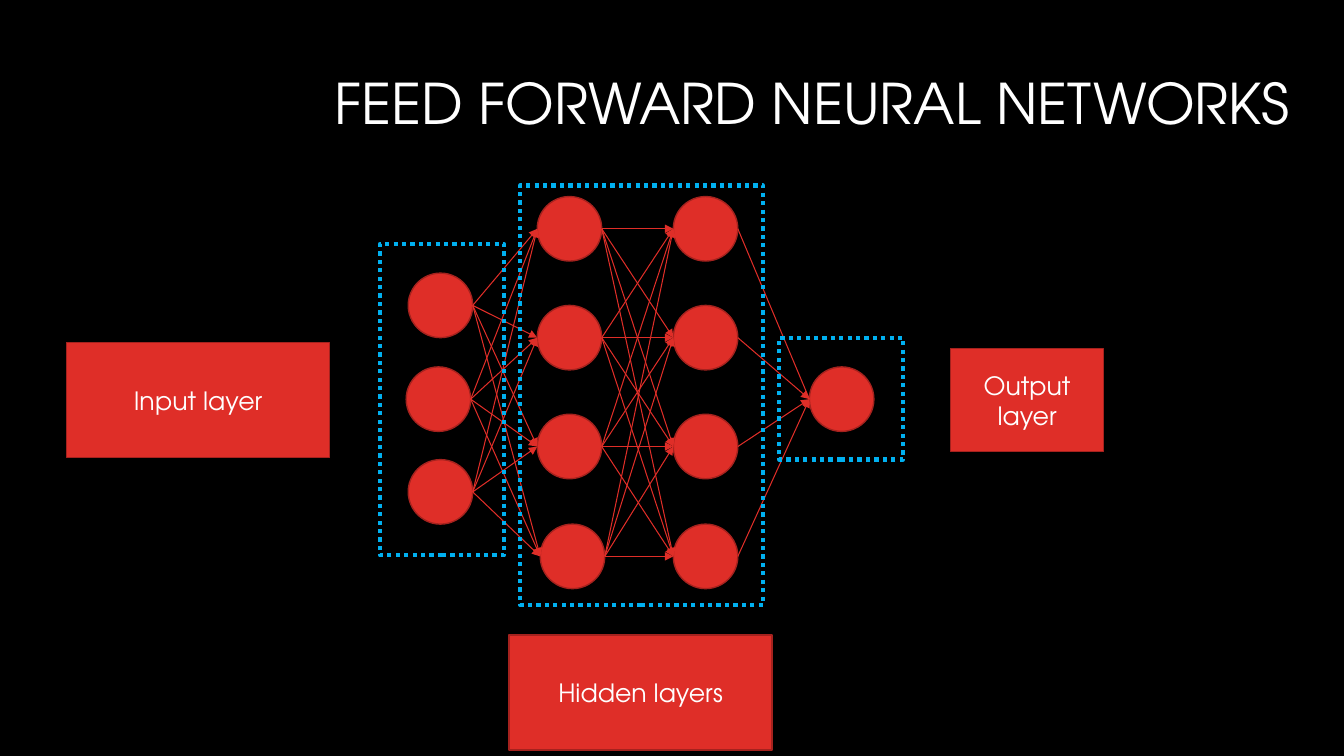
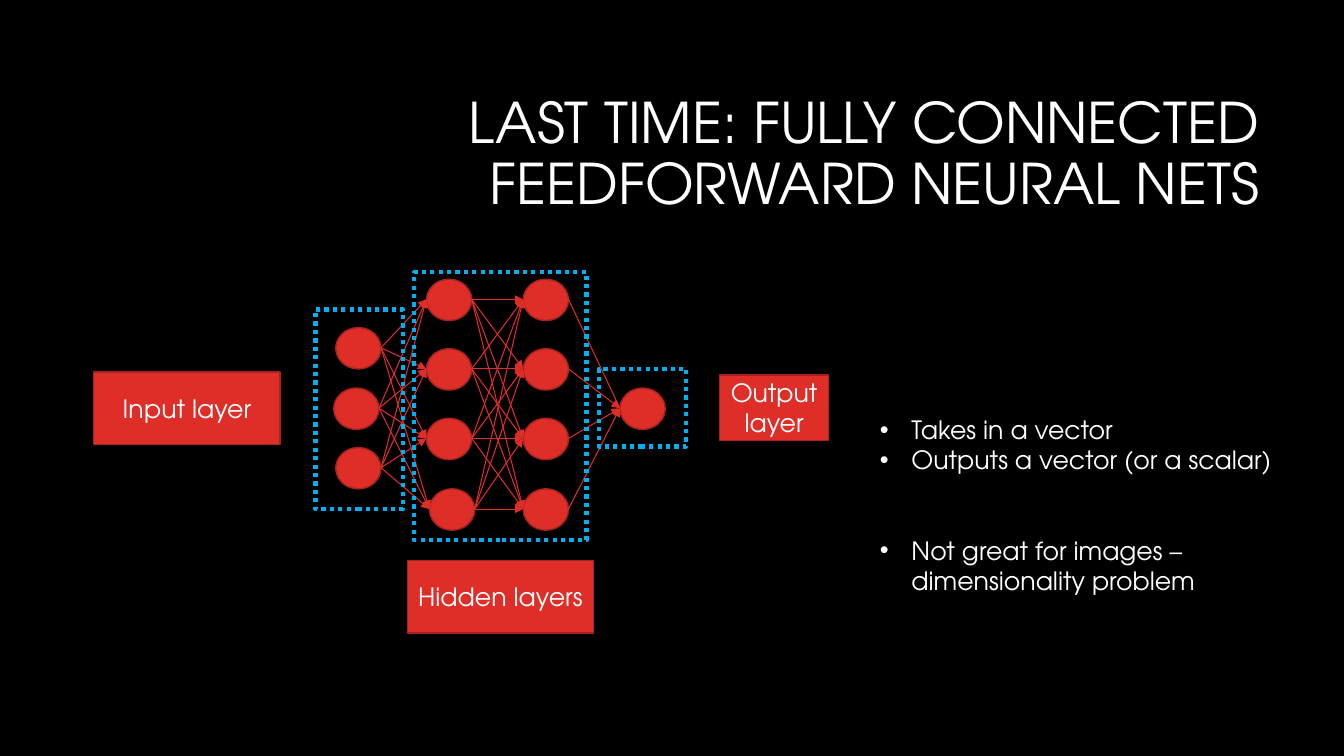
from dataclasses import dataclass
from itertools import pairwise, product

from lxml.etree import SubElement
from pptx import Presentation
from pptx.dml.color import RGBColor
from pptx.enum.dml import MSO_LINE as Dash
from pptx.enum.shapes import MSO_CONNECTOR as Link, MSO_SHAPE as Kind
from pptx.enum.text import MSO_ANCHOR as Anchor, MSO_AUTO_SIZE as Fit, PP_ALIGN as Align
from pptx.oxml.ns import qn
from pptx.util import Emu, Pt

# Shared look
FONT = "TeX Gyre Adventor"
BLACK, WHITE, RED, DARK, BLUE = "000000", "FFFFFF", "DF2E28", "A5221E", "00B0F0"
SCALE = 9144  # EMU in one px, 100 px to the inch
NODE = 64


@dataclass(frozen=True)
class Box:
    x: int
    y: int
    w: int
    h: int


@dataclass(frozen=True)
class View:
    """Maps the network onto a slide: factors, then shift in px."""
    sx: float = 1
    sy: float = 1
    dx: int = 0
    dy: int = 0

    def fit(self, box: Box) -> Box:
        return Box(round(box.x * self.sx + self.dx), round(box.y * self.sy + self.dy),
                   round(box.w * self.sx), round(box.h * self.sy))


@dataclass(frozen=True)
class Page:
    title: str
    head: Box
    view: View
    labels: tuple[Box, ...]
    points: tuple[tuple[str, int], ...] = ()  # text, space before in points
    body: Box | None = None


# Network: left and top of every node, layer by layer
ROWS = (195, 303, 411, 520)
LAYERS = (
    ((405, 271), (403, 364), (405, 456)),
    tuple(zip((533, 533, 533, 536), ROWS)),
    tuple((668, y) for y in ROWS),
    ((803, 364),),
)
FRAMES = (Box(377, 242, 123, 309), Box(516, 184, 241, 416), Box(773, 335, 123, 121))
NAMES = ("Input layer", "Hidden layers", "Output layer")

PAGES = (
    Page("FEED FORWARD NEURAL NETWORKS", Box(286, 35, 1003, 141), View(),
         (Box(66, 340, 261, 114), Box(505, 630, 261, 114), Box(943, 346, 152, 102))),
    Page("LAST TIME: FULLY CONNECTED FEEDFORWARD NEURAL NETS",
         Box(317, 84, 942, 141), View(0.71, 0.64, 45, 152),
         (Box(93, 369, 185, 72), Box(404, 556, 185, 72), Box(714, 372, 108, 65)),
         (("Takes in a vector", 0), ("Outputs a vector (or a scalar)", 0),
          ("Not great for images – dimensionality problem", 43)),
         Box(863, 406, 423, 192)),
)


def px(n: int) -> Emu:
    return Emu(n * SCALE)


def rgb(code: str) -> RGBColor:
    return RGBColor.from_string(code)


def place(shape, box: Box) -> None:
    shape.left, shape.top, shape.width, shape.height = map(px, (box.x, box.y, box.w, box.h))


def write(para, text: str, *, size: int = 18, color: str = WHITE, align=Align.LEFT,
          lead: float = 1, before: int = 0, bullet: str = "") -> None:
    if bullet:
        props = para._p.get_or_add_pPr()
        props.set("marL", "285750")
        props.set("indent", "-285750")
        SubElement(props, qn("a:buFont"), typeface="Arial")
        SubElement(props, qn("a:buChar"), char=bullet)
    para.alignment, para.line_spacing, para.space_before = align, lead, Pt(before)
    run = para.add_run()
    run.text = text
    run.font.name, run.font.size = FONT, Pt(size)
    run.font.color.rgb = rgb(color)


def frame(shape, anchor):
    text = shape.text_frame
    text.word_wrap, text.auto_size, text.vertical_anchor = True, Fit.NONE, anchor
    return text


def draw(shapes, kind, box: Box, *, fill: str = "", line: str = DARK, width: int = 1):
    shape = shapes.add_shape(kind, px(box.x), px(box.y), px(box.w), px(box.h))
    shape.shadow.inherit = False
    if fill:
        shape.fill.solid()
        shape.fill.fore_color.rgb = rgb(fill)
    else:
        shape.fill.background()
    shape.line.color.rgb = rgb(line)
    shape.line.width = Pt(width)
    return shape


def join(shapes, start: Box, end: Box, arrow: bool) -> None:
    line = shapes.add_connector(Link.STRAIGHT, px(start.x + start.w), px(start.y + start.h // 2),
                                px(end.x), px(end.y + end.h // 2))
    line.line.color.rgb = rgb(RED)
    line.line.width = Pt(0.75)
    if arrow:
        SubElement(line.line._get_or_add_ln(), qn("a:tailEnd"), type="triangle")
    SubElement(line._element.spPr, qn("a:effectLst"))


def network(slide, view: View) -> None:
    shapes = slide.shapes.add_group_shape().shapes
    layers = [[view.fit(Box(x, y, NODE, NODE)) for x, y in layer] for layer in LAYERS]
    for layer in layers:
        for node in layer:
            draw(shapes, Kind.OVAL, node, fill=RED)
    # Only the top edge into the output node has no arrowhead
    for left, right in pairwise(layers):
        for start, end in product(left, right):
            join(shapes, start, end, len(right) > 1 or start is not left[0])
    for box in FRAMES:
        border = draw(shapes, Kind.RECTANGLE, view.fit(box), line=BLUE, width=3)
        border.line.dash_style = Dash.ROUND_DOT


def build(deck, page: Page) -> None:
    slide = deck.slides.add_slide(deck.slide_layouts[1 if page.body else 5])
    # Title
    title = slide.shapes.title
    place(title, page.head)
    write(frame(title, Anchor.MIDDLE).paragraphs[0], page.title,
          size=40, align=Align.RIGHT, lead=0.9)
    # List
    if page.body:
        body = slide.placeholders[1]
        place(body, page.body)
        text = frame(body, Anchor.TOP)
        for i, (point, gap) in enumerate(page.points):
            para = text.add_paragraph() if i else text.paragraphs[0]
            write(para, point, before=gap, bullet="•")
    # Network and its labels
    network(slide, page.view)
    for name, box in zip(NAMES, page.labels):
        label = draw(slide.shapes, Kind.RECTANGLE, box, fill=RED)
        write(frame(label, Anchor.MIDDLE).paragraphs[0], name, align=Align.CENTER)


def main() -> None:
    deck = Presentation()
    deck.slide_width, deck.slide_height = Emu(12192000), Emu(6858000)
    back = deck.slide_master.background.fill
    back.solid()
    back.fore_color.rgb = rgb(BLACK)
    for page in PAGES:
        build(deck, page)
    deck.save("out.pptx")


if __name__ == "__main__":
    main()
